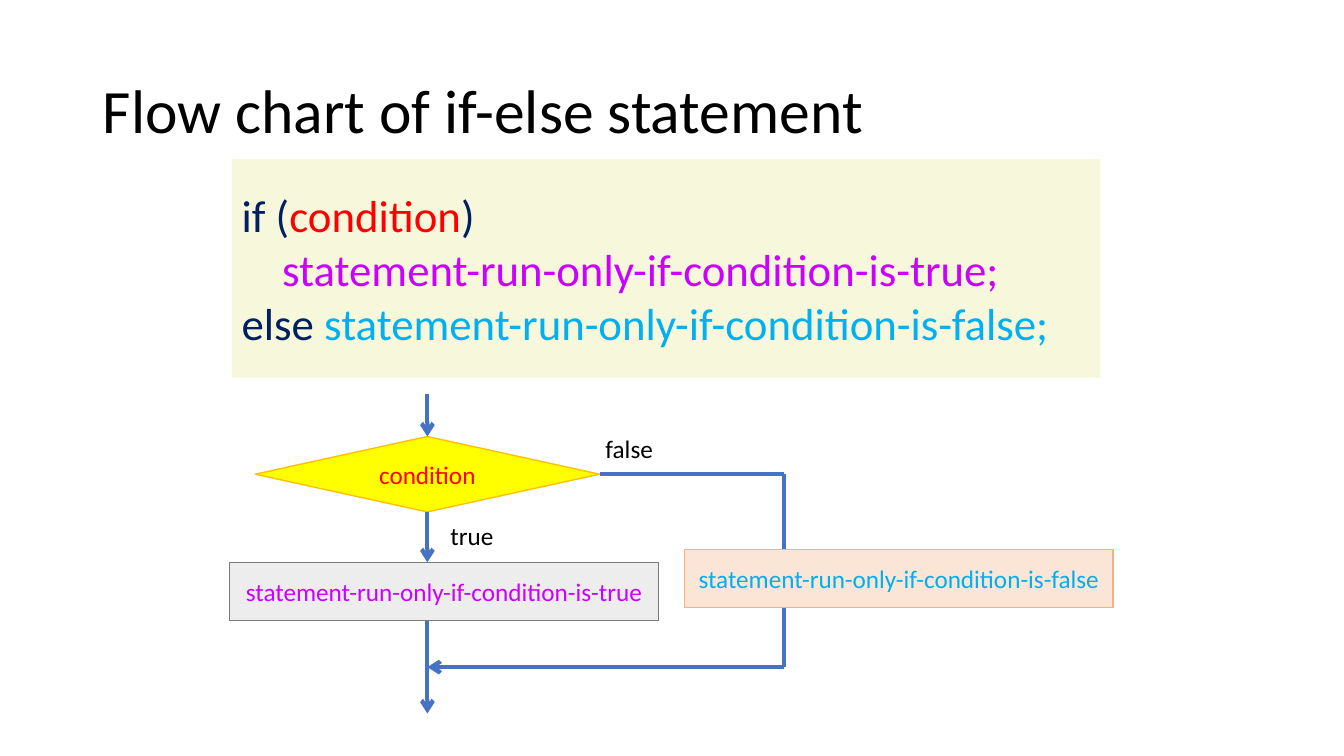
from lxml import etree
from pptx import Presentation
from pptx.dml.color import RGBColor
from pptx.enum import shapes, text
from pptx.oxml import ns
from pptx.util import Cm, Pt

BLACK = RGBColor(0x00, 0x00, 0x00)
NAVY = RGBColor(0x00, 0x20, 0x60)
RED = RGBColor(0xFF, 0x00, 0x00)
MAGENTA = RGBColor(0xCC, 0x00, 0xFF)
CYAN = RGBColor(0x00, 0xB0, 0xF0)
BLUE = RGBColor(0x44, 0x72, 0xC4)
CREAM = RGBColor(0xEF, 0xF1, 0xAF)
YELLOW = RGBColor(0xFF, 0xFF, 0x00)
GOLD = RGBColor(0xFF, 0xC0, 0x00)
PALE_GREY = RGBColor(0xED, 0xED, 0xED)
GREY = RGBColor(0x7C, 0x7C, 0x7C)
PEACH = RGBColor(0xFB, 0xE5, 0xD6)
ORANGE = RGBColor(0xF4, 0xB1, 0x83)

# Content: lines of (text, colour) spans
TITLE = [[("Flow chart of if-else statement", BLACK)]]
CODE = [
    [("if (", NAVY), ("condition", RED), (")", NAVY)],
    [("    statement-run-only-if-condition-is-true;", MAGENTA)],
    [("else ", NAVY), ("statement-run-only-if-condition-is-false;", CYAN)],
]
CONDITION = [[("condition", RED)]]
TRUE_STEP = [[("statement-run-only-if-condition-is-true", MAGENTA)]]
FALSE_STEP = [[("statement-run-only-if-condition-is-false", CYAN)]]
LABELS = [("false", 15.01, 10.8), ("true", 11.1, 12.98)]

# Layout in centimetres: left, top, width, height
TITLE_AREA = (2.34, 1.02, 29.21, 3.68)
CODE_AREA = (5.84, 4.01, 21.89, 5.51)
DECISION = (6.43, 11, 8.68, 1.9)
STEP_SIZE = (10.8, 1.47)
TRUE_AREA = (5.79, 14.17, *STEP_SIZE)
FALSE_AREA = (17.25, 13.84, *STEP_SIZE)
LABEL_SIZE = (2.34, 1.02)
ENTRY_Y, MERGE_Y, EXIT_Y = 9.93, 16.81, 17.98
BRANCH_X = 19.76

deck = Presentation()
deck.slide_width, deck.slide_height = Cm(33.87), Cm(19.05)
page = deck.slides.add_slide(deck.slide_layouts[6])


def write(box, lines, size=18, align=text.PP_ALIGN.LEFT,
          anchor=text.MSO_ANCHOR.MIDDLE, spacing=1.0):
    frame = box.text_frame
    frame.word_wrap = True
    frame.vertical_anchor = anchor
    for number, spans in enumerate(lines):
        para = frame.add_paragraph() if number else frame.paragraphs[0]
        para.alignment = align
        para.line_spacing = spacing
        for words, colour in spans:
            span = para.add_run()
            span.text = words
            span.font.name = "Calibri"
            span.font.size = Pt(size)
            span.font.color.rgb = colour


def add_text(area, lines, **style):
    write(page.shapes.add_textbox(*map(Cm, area)), lines, **style)


def add_block(kind, area, lines, fill, line=None, **style):
    box = page.shapes.add_shape(kind, *map(Cm, area))
    box.shadow.inherit = False
    box.fill.solid()
    box.fill.fore_color.rgb = fill
    if line is None:
        box.line.fill.background()
    else:
        box.line.color.rgb = line
        box.line.width = Pt(1)
    write(box, lines, **style)
    return box


def add_line(start, end, arrow=False):
    line = page.shapes.add_connector(
        shapes.MSO_CONNECTOR.STRAIGHT, *map(Cm, (*start, *end)))
    line.line.color.rgb = BLUE
    line.line.width = Pt(3)
    if arrow:
        etree.SubElement(line.line._get_or_add_ln(), ns.qn("a:tailEnd"), type="arrow")
    etree.SubElement(line._element.spPr, ns.qn("a:effectLst"))


# Title and code panel
add_text(TITLE_AREA, TITLE, size=44, spacing=0.9)
panel = add_block(shapes.MSO_SHAPE.RECTANGLE, CODE_AREA, CODE, CREAM, size=32)
panel_colour = panel.fill._xPr.find(".//" + ns.qn("a:srgbClr"))
etree.SubElement(panel_colour, ns.qn("a:alpha"), val="44000")

# Decision and true step
CENTRE = text.PP_ALIGN.CENTER
add_block(shapes.MSO_SHAPE.FLOWCHART_DECISION, DECISION, CONDITION,
          YELLOW, GOLD, align=CENTRE)
add_block(shapes.MSO_SHAPE.FLOWCHART_PROCESS, TRUE_AREA, TRUE_STEP,
          PALE_GREY, GREY, align=CENTRE)

# Main flow runs down through the middle of the decision
left, top, width, height = DECISION
main_x, decision_y = left + width / 2, top + height / 2
step_top = TRUE_AREA[1]
for start_y, end_y in [(ENTRY_Y, top), (top + height, step_top),
                       (step_top + STEP_SIZE[1], EXIT_Y)]:
    add_line((main_x, start_y), (main_x, end_y), arrow=True)

# False branch leaves to the right and rejoins the main flow
corners = [(left + width, decision_y), (BRANCH_X, decision_y),
           (BRANCH_X, MERGE_Y), (main_x, MERGE_Y)]
for start, end in zip(corners, corners[1:]):
    add_line(start, end, arrow=end == corners[-1])
add_block(shapes.MSO_SHAPE.FLOWCHART_PROCESS, FALSE_AREA, FALSE_STEP,
          PEACH, ORANGE, align=CENTRE)

# Branch labels
for words, x, y in LABELS:
    add_text((x, y, *LABEL_SIZE), [[(words, BLACK)]], anchor=text.MSO_ANCHOR.TOP)

deck.save("out.pptx")
